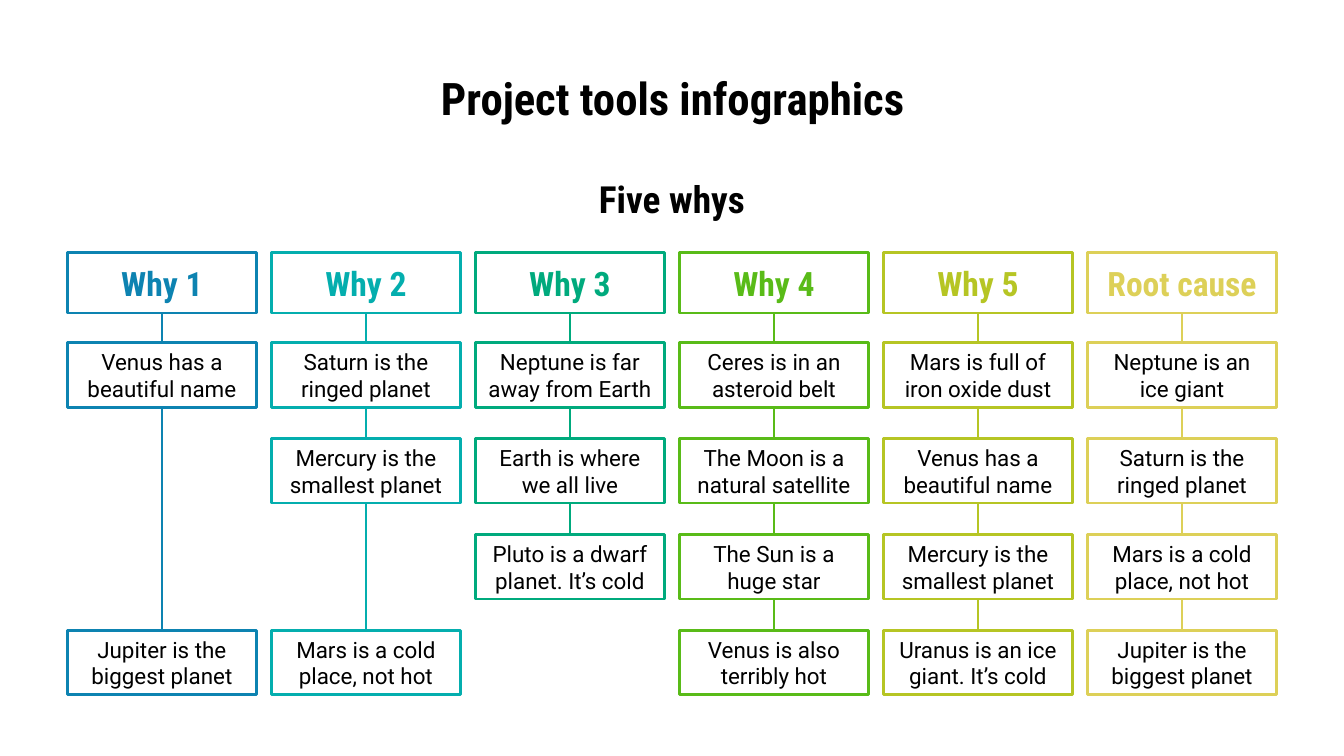
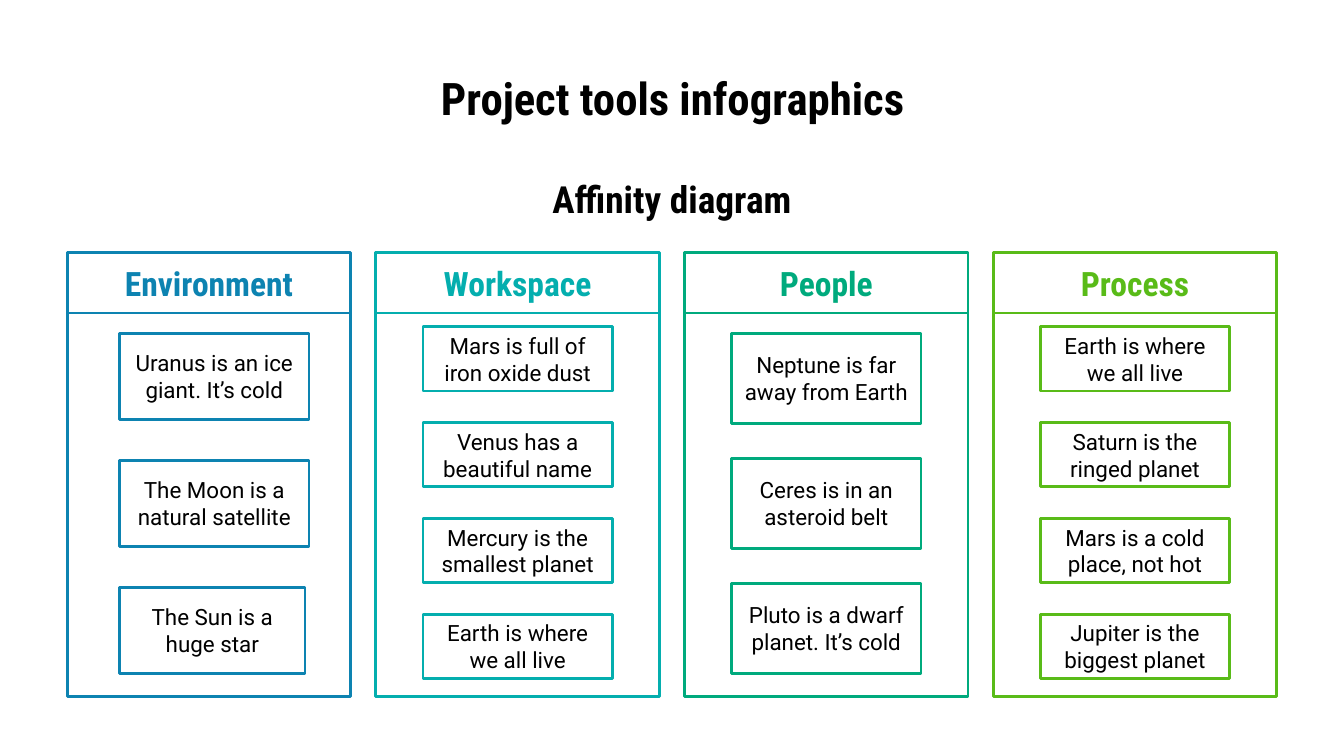
from itertools import pairwise

from lxml import etree
from pptx import Presentation
from pptx import util as u
from pptx.dml.color import RGBColor
from pptx.enum import shapes, text
from pptx.oxml import ns

# Colours and fonts
BLACK = RGBColor(0x00, 0x00, 0x00)
WHITE = RGBColor(0xFF, 0xFF, 0xFF)
BLUE = RGBColor(0x0D, 0x83, 0xB1)
TEAL = RGBColor(0x04, 0xAE, 0xAE)
JADE = RGBColor(0x00, 0xAA, 0x7D)
GREEN = RGBColor(0x59, 0xBB, 0x18)
LIME = RGBColor(0xB6, 0xC5, 0x24)
SAND = RGBColor(0xDD, 0xD0, 0x58)
HUES = (BLUE, TEAL, JADE, GREEN, LIME, SAND)
HEAD = "Roboto Condensed"
BODY = "Roboto"

# Grid, in inches
WIDE, HIGH = 10, 5.625
EDGE = 0.5
TOP, HEAD_H = 1.88, 0.45
CARD_W, CARD_H = 1.41, 0.48
PANEL_W = 2.11
PANEL_Y, PANEL_H = 2.1, 3.08

# Content: one heading and its cards for each column
WHYS = (
    ("Why 1", ("Venus has a beautiful name", None, None,
               "Jupiter is the biggest planet")),
    ("Why 2", ("Saturn is the ringed planet", "Mercury is the smallest planet",
               None, "Mars is a cold place, not hot")),
    ("Why 3", ("Neptune is far away from Earth", "Earth is where we all live",
               "Pluto is a dwarf planet. It’s cold", None)),
    ("Why 4", ("Ceres is in an asteroid belt", "The Moon is a natural satellite",
               "The Sun is a huge star", "Venus is also terribly hot")),
    ("Why 5", ("Mars is full of iron oxide dust", "Venus has a beautiful name",
               "Mercury is the smallest planet",
               "Uranus is an ice giant. It’s cold")),
    ("Root cause", ("Neptune is an ice giant", "Saturn is the ringed planet",
                    "Mars is a cold place, not hot",
                    "Jupiter is the biggest planet")),
)

# Heading, left inset of cards, first top, last top, card height, cards
THEMES = (
    ("Environment", 0.39, 2.48, 4.37, 0.64,
     ("Uranus is an ice giant. It’s cold", "The Moon is a natural satellite",
      "The Sun is a huge star")),
    ("Workspace", 0.35, 2.43, 4.57, CARD_H,
     ("Mars is full of iron oxide dust", "Venus has a beautiful name",
      "Mercury is the smallest planet", "Earth is where we all live")),
    ("People", 0.35, 2.48, 4.34, 0.67,
     ("Neptune is far away from Earth", "Ceres is in an asteroid belt",
      "Pluto is a dwarf planet. It’s cold")),
    ("Process", 0.35, 2.43, 4.57, CARD_H,
     ("Earth is where we all live", "Saturn is the ringed planet",
      "Mars is a cold place, not hot", "Jupiter is the biggest planet")),
)


def spread(first, last, count):
    """Return evenly spaced positions from first to last."""
    return [first + (last - first) * i / (count - 1) for i in range(count)]


def cols(count, width):
    return spread(EDGE, WIDE - EDGE - width, count)


def inch(*sizes):
    return [u.Inches(size) for size in sizes]


def write(shape, words, size, font=HEAD, color=BLACK, side=0.1):
    frame = shape.text_frame
    frame.word_wrap = True
    frame.auto_size = text.MSO_AUTO_SIZE.NONE
    frame.vertical_anchor = text.MSO_ANCHOR.MIDDLE
    frame.margin_left = frame.margin_right = u.Inches(side)
    frame.margin_top = frame.margin_bottom = u.Inches(0.1)
    frame.text = words
    par = frame.paragraphs[0]
    par.alignment = text.PP_ALIGN.CENTER
    par.font.name, par.font.size = font, u.Pt(size)
    par.font.bold = font == HEAD
    par.font.color.rgb = color


def box(pool, area, hue, fill=None):
    rect = pool.add_shape(shapes.MSO_SHAPE.RECTANGLE, *inch(*area))
    rect.shadow.inherit = False
    if fill is None:
        rect.fill.background()
    else:
        rect.fill.solid()
        rect.fill.fore_color.rgb = fill
    rect.line.color.rgb = hue
    rect.line.width = u.Pt(1.5)
    return rect


def label(pool, words, x, width, hue, fill=None):
    rect = box(pool, (x, TOP, width, HEAD_H), hue, fill)
    write(rect, words, 18, color=hue)
    return rect


def card(pool, words, x, y, hue, height=CARD_H, width=CARD_W):
    rect = box(pool, (x, y, width, height), hue)
    write(rect, words, 12, BODY, side=0.09)
    return rect


def link(pool, upper, lower, hue):
    line = pool.add_connector(shapes.MSO_CONNECTOR.STRAIGHT, 0, 0, 0, 0)
    line.begin_connect(upper, 2)
    line.end_connect(lower, 0)
    line.line.color.rgb = hue
    line.line.width = u.Pt(0.75)
    etree.SubElement(line._element.spPr, ns.qn("a:effectLst"))


def page(deck, topic):
    """Add a slide with the shared title and its own subtitle."""
    pool = deck.slides.add_slide(deck.slide_layouts[5]).shapes
    title = pool.title
    title.left, title.top, title.width, title.height = inch(0.79, 0.49, 8.43, 0.47)
    write(title, "Project tools infographics", 24)
    write(pool.add_textbox(*inch(3.27, 1.27, 3.46, 0.41)), topic, 20)
    return pool


def whys(deck):
    pool = page(deck, "Five whys")
    rows = spread(2.55, 4.69, 4)
    for x, hue, (head, notes) in zip(cols(len(WHYS), CARD_W), HUES, WHYS):
        chain = [label(pool, head, x, CARD_W, hue)]
        chain += [card(pool, note, x, y, hue)
                  for y, note in zip(rows, notes) if note]
        for upper, lower in pairwise(chain):
            link(pool, upper, lower, hue)


def themes(deck):
    pool = page(deck, "Affinity diagram")
    for x, hue, theme in zip(cols(len(THEMES), PANEL_W), HUES, THEMES):
        head, inset, first, last, height, notes = theme
        # Panel with its heading
        group = pool.add_group_shape().shapes
        box(group, (x, PANEL_Y, PANEL_W, PANEL_H), hue)
        label(group, head, x, PANEL_W, hue, WHITE)
        # Cards; the last one in the first panel is a little narrower
        for y, note in zip(spread(first, last, len(notes)), notes):
            slim = hue == BLUE and note == notes[-1]
            card(pool, note, x + inset, y, hue, height, 1.38 if slim else CARD_W)


def main():
    deck = Presentation()
    deck.slide_width, deck.slide_height = inch(WIDE, HIGH)
    whys(deck)
    themes(deck)
    deck.save("out.pptx")


if __name__ == "__main__":
    main()
